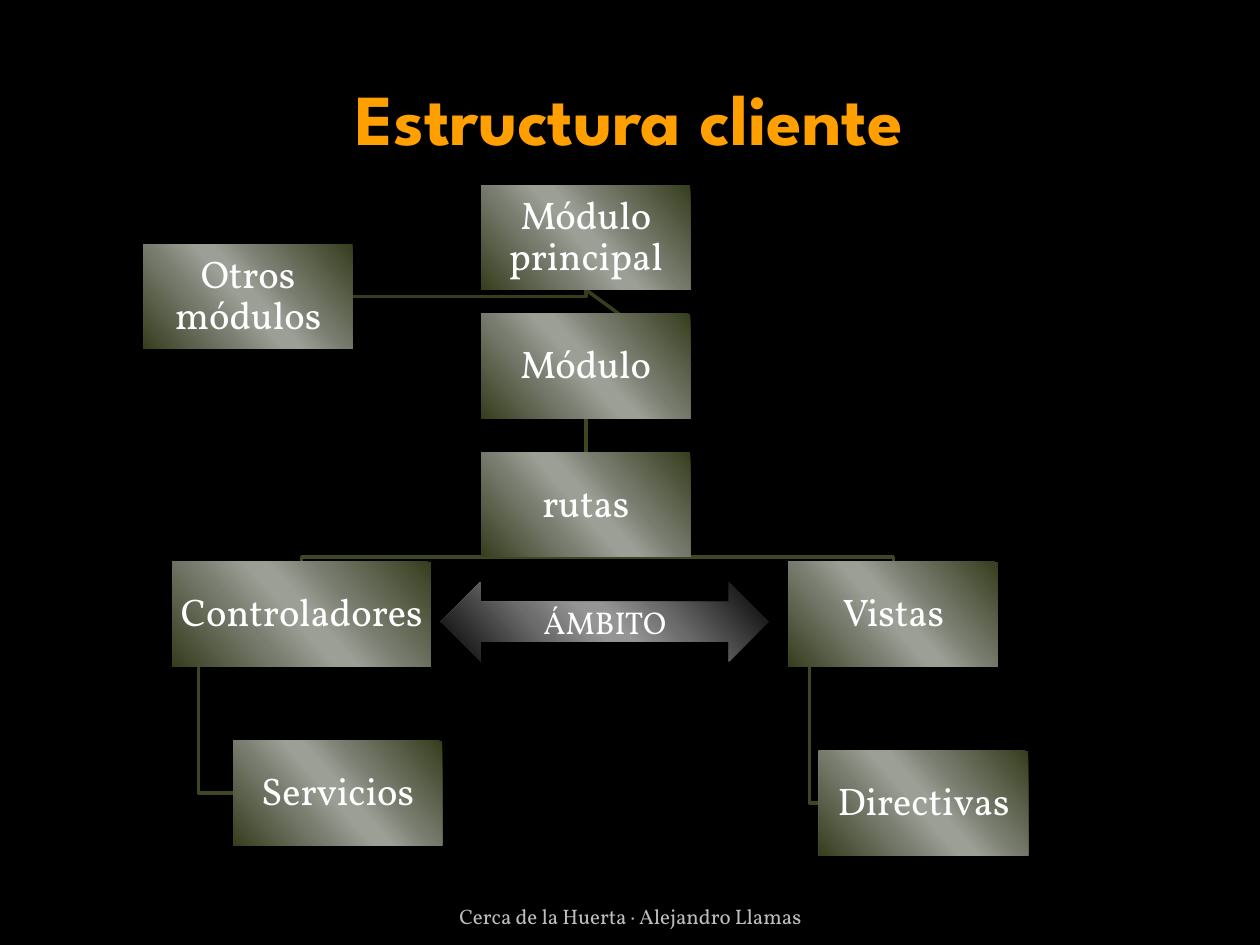
from pptx import Presentation
from pptx.dml.color import RGBColor as RGB
from pptx.enum.shapes import MSO_CONNECTOR as CONN, MSO_SHAPE as SHAPE
from pptx.enum.text import MSO_ANCHOR as ANCHOR, PP_ALIGN as ALIGN
from pptx.oxml import parse_xml
from pptx.oxml.ns import nsdecls
from pptx.util import Inches, Pt

# Content: name -> (text, left, top, width)
W, H = 1.66, 0.83
BOXES = {
    "main": ("Módulo principal", 3.82, 1.47, W),
    "others": ("Otros módulos", 1.14, 1.94, W),
    "module": ("Módulo", 3.82, 2.49, W),
    "routes": ("rutas", 3.82, 3.59, W),
    "views": ("Vistas", 6.26, 4.46, W),
    "directives": ("Directivas", 6.5, 5.96, W),
    "controllers": ("Controladores", 1.37, 4.46, 2.05),
    "services": ("Servicios", 1.85, 5.88, W),
}
# Elbows: parent, share of its bottom edge, child, share of child's width and height
DOWN_FIRST = [
    ("main", 0.5, "others", 1, 0.5),
    ("controllers", 0.1, "services", 0, 0.5),
    ("views", 0.1, "directives", 0, 0.5),
]
ACROSS_FIRST = [
    ("routes", 0.5, "controllers", 0.5, 0),
    ("routes", 0.5, "views", 0.5, 0),
]
# Straight links: parent, side, child, side, colour
STRAIGHT = [
    ("main", 2, "module", 3, "dark"),
    ("module", 2, "routes", 0, "line"),
]
C = {"bg": "000000", "title": "FFA000", "footer": "BDBDBD", "text": "FFFFFF",
     "line": "3E4622", "dark": "363E1E"}
STOPS = (0, 33, 47, 53, 68, 100)
OLIVE = ("363E1E", "787C6E", "9C9F96", "9C9F96", "797D70", "363E1E")
GREY = ("000000", "6B6B6B", "959595", "959595", "6C6C6C", "000000")
HEAD, BODY = "League Spartan", "Vollkorn"


def color(name):
    return RGB.from_string(C[name])


def write(sp, text, size, name, font=BODY, bold=False, anchor=ANCHOR.MIDDLE):
    tf = sp.text_frame
    tf.word_wrap = True
    tf.vertical_anchor = anchor
    p = tf.paragraphs[0]
    p.text, p.alignment = text, ALIGN.CENTER
    p.font.name, p.font.size, p.font.bold = font, Pt(size), bold
    p.font.color.rgb = color(name)
    return tf


def add_shape(kind, x, y, w, h, colors):
    sp = s.shapes.add_shape(kind, Inches(x), Inches(y), Inches(w), Inches(h))
    sp.shadow.inherit = False
    sp.line.fill.background()
    sp.fill.gradient()
    sp.fill.gradient_angle = 360 - 139
    stops = sp._element.spPr.find(".//{*}gsLst")
    for old in list(stops):
        stops.remove(old)
    for pos, rgb in zip(STOPS, colors):
        stops.append(parse_xml(f'<a:gs {nsdecls("a")} pos="{pos * 1000}">'
                               f'<a:srgbClr val="{rgb}"/></a:gs>'))
    return sp


def style_line(sp, name):
    sp.line.color.rgb, sp.line.width = color(name), Pt(2)
    # Links lie behind the boxes
    s.shapes._spTree.insert(2, sp._element)


def point(box, fx, fy):
    _, x, y, w = BOXES[box]
    return Inches(x + fx * w), Inches(y + fy * H)


def add_elbow(parent, share, child, fx, fy, down):
    (x0, y0), (x1, y1) = point(parent, share, 1), point(child, fx, fy)
    corner = (x0, y1) if down else (x1, y0)
    path = s.shapes.build_freeform(x0, y0)
    path.add_line_segments([corner, (x1, y1)], close=False)
    sp = path.convert_to_shape()
    sp.fill.background()
    sp.shadow.inherit = False
    style_line(sp, "dark" if parent == "main" else "line")


prs = Presentation()
prs.slide_width, prs.slide_height = Inches(10), Inches(7.5)
s = prs.slides.add_slide(prs.slide_layouts[6])
s.background.fill.solid()
s.background.fill.fore_color.rgb = color("bg")

# Title and footer
title = s.shapes.add_textbox(Inches(0.5), Inches(0.3), Inches(9), Inches(1.25))
write(title, "Estructura cliente", 41, "title", HEAD, True)
footer = s.shapes.add_textbox(Inches(3.42), Inches(7.02), Inches(3.17), Inches(0.4))
write(footer, "Cerca de la Huerta · Alejandro Llamas", 12, "footer", anchor=ANCHOR.BOTTOM)

# Boxes
shapes = {}
for key, (text, x, y, w) in BOXES.items():
    sp = shapes[key] = add_shape(SHAPE.RECTANGLE, x, y, w, H, OLIVE)
    tf = write(sp, text, 22, "text")
    tf.margin_left = tf.margin_right = tf.margin_top = tf.margin_bottom = Inches(0.02)
    tf.paragraphs[0].line_spacing = 0.9

# Links
for link in DOWN_FIRST:
    add_elbow(*link, down=True)
for link in ACROSS_FIRST:
    add_elbow(*link, down=False)
for parent, side, child, child_side, name in STRAIGHT:
    cn = s.shapes.add_connector(CONN.STRAIGHT, 0, 0, 0, 0)
    cn.begin_connect(shapes[parent], side)
    cn.end_connect(shapes[child], child_side)
    style_line(cn, name)
    cn._element.spPr.append(parse_xml(f'<a:effectLst {nsdecls("a")}/>'))

# Scope arrow between controllers and views
arrow = add_shape(SHAPE.LEFT_RIGHT_ARROW, 3.5, 4.62, 2.6, 0.63, GREY)
write(arrow, "ÁMBITO", 18, "text")

prs.save("out.pptx")
